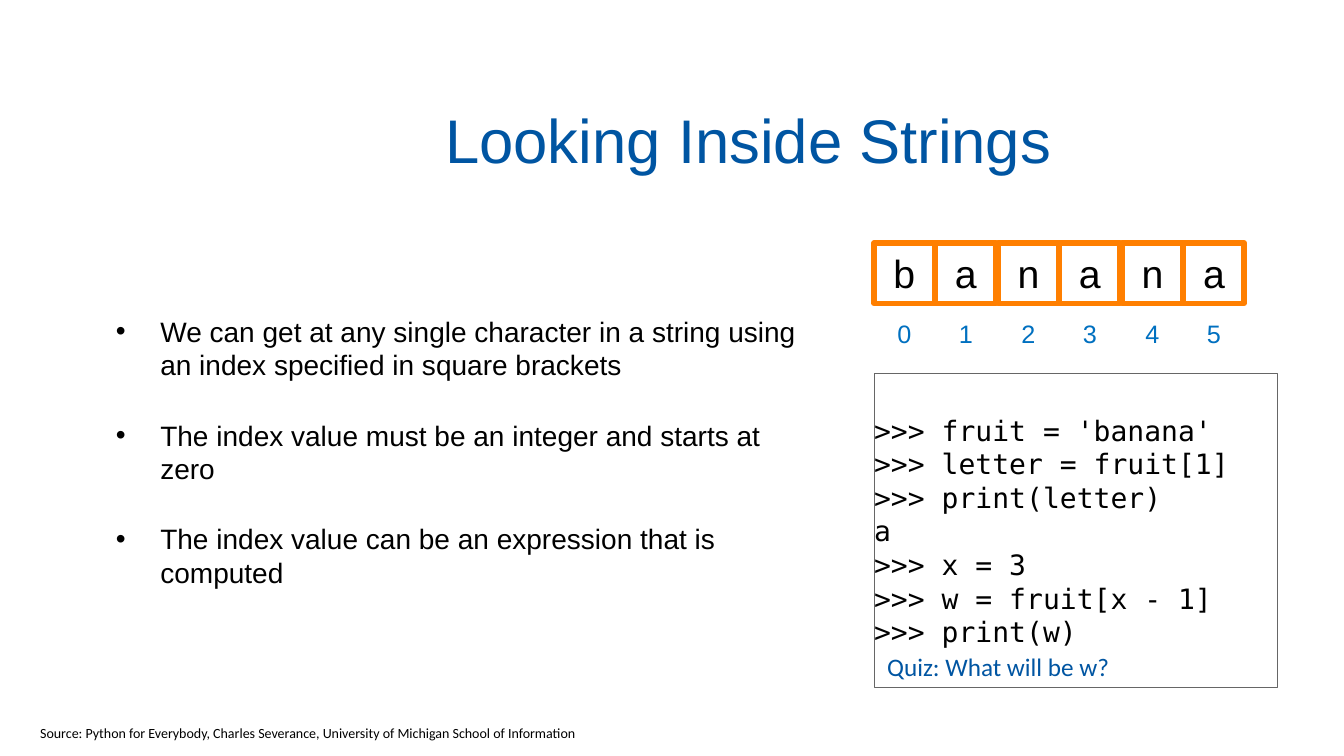
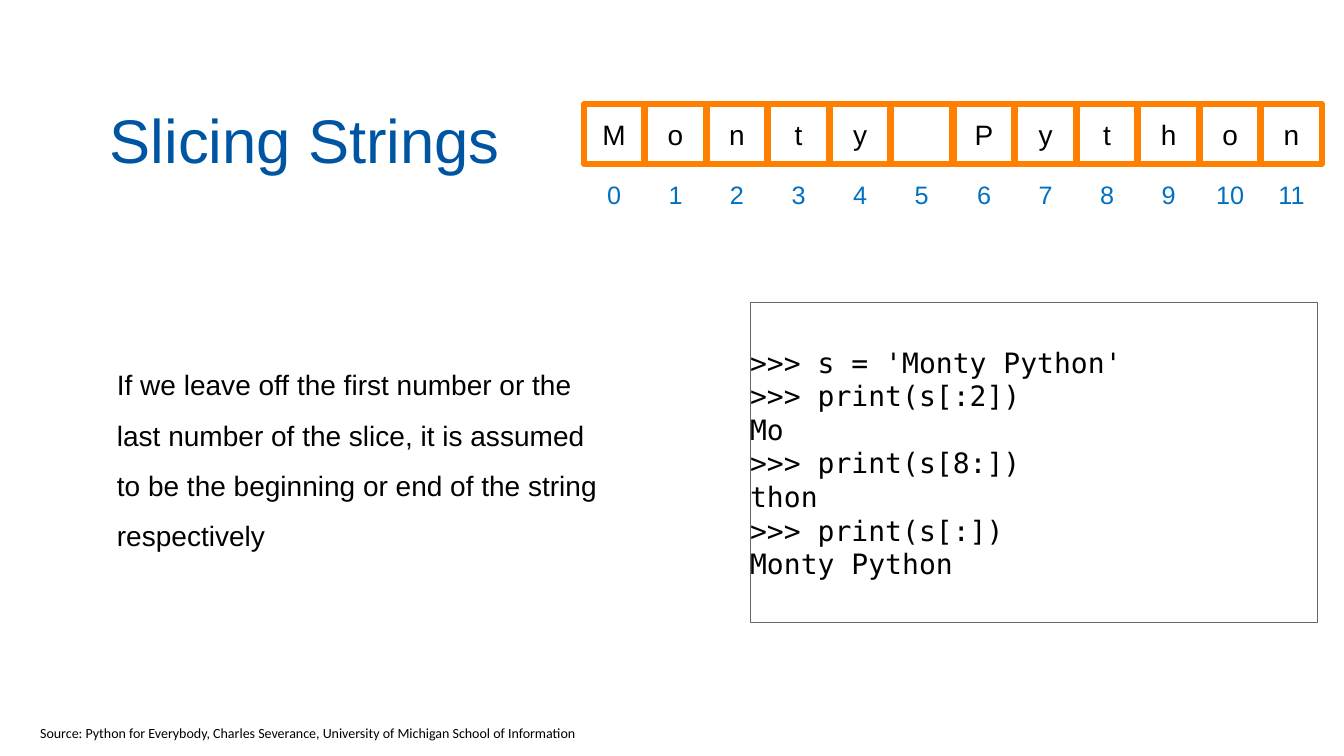
from dataclasses import dataclass

from lxml.etree import SubElement
from pptx import Presentation
from pptx.dml.color import RGBColor
from pptx.enum.shapes import MSO_SHAPE
from pptx.enum.text import MSO_ANCHOR, MSO_AUTO_SIZE, PP_ALIGN
from pptx.oxml.ns import qn
from pptx.util import Emu, Pt


@dataclass(frozen=True)
class Theme:
    heading: RGBColor = RGBColor(0x00, 0x55, 0xA2)
    index: RGBColor = RGBColor(0x00, 0x70, 0xC0)
    ink: RGBColor = RGBColor(0x00, 0x00, 0x00)
    cell_border: RGBColor = RGBColor(0xFF, 0x7F, 0x00)
    code_border: RGBColor = RGBColor(0x66, 0x66, 0x66)
    sans: str = "Arial"
    note_font: str = "Calibri"
    mono: str = "DejaVu Sans Mono"
    title_size: int = 44
    large_size: int = 28
    body_size: int = 20
    label_size: int = 18
    source_size: int = 10


THEME = Theme()
EMU_PER_PX = 9144
CELL = 60
INDEX_DROP = 60
BODY_TOP, BODY_HEIGHT = 214, 468
SOURCE = ("Source: Python for Everybody, Charles Severance, "
          "University of Michigan School of Information")


def px(length):
    return Emu(length * EMU_PER_PX)


def write(frame, lines, size, color=THEME.ink, font=THEME.sans,
          align=PP_ALIGN.LEFT, inset=0):
    frame.word_wrap = True
    frame.vertical_anchor = MSO_ANCHOR.MIDDLE
    frame.margin_left = frame.margin_right = px(inset)
    frame.margin_top = frame.margin_bottom = px(inset)
    for number, line in enumerate(lines):
        paragraph = frame.add_paragraph() if number else frame.paragraphs[0]
        paragraph.alignment = align
        run = paragraph.add_run()
        run.text = line
        run.font.size = Pt(size)
        run.font.name = font
        run.font.color.rgb = color
    return frame.paragraphs


def add_text(slide, box, lines, size, **style):
    frame = slide.shapes.add_textbox(*map(px, box)).text_frame
    return write(frame, lines, size, **style)


def add_outline(slide, box, color, width):
    outline = slide.shapes.add_shape(MSO_SHAPE.RECTANGLE, *map(px, box))
    outline.shadow.inherit = False
    outline.fill.background()
    outline.line.color.rgb = color
    outline.line.width = Pt(width)
    return outline.text_frame


def add_title(slide, left, width, title):
    add_text(slide, (left, 68, width, 140), [title], THEME.title_size,
             color=THEME.heading, align=PP_ALIGN.CENTER, inset=3)


def indent(paragraph, left, first=0):
    properties = paragraph._p.get_or_add_pPr()
    properties.set("marL", str(px(left)))
    properties.set("indent", str(px(first)))
    return properties


def add_bullets(slide, width, points):
    paragraphs = add_text(slide, (95, BODY_TOP, width, BODY_HEIGHT), points,
                          THEME.body_size, inset=3)
    for number, paragraph in enumerate(paragraphs):
        paragraph.space_before = Pt(26.2 if number else 0)
        properties = indent(paragraph, 61, -44)
        SubElement(properties, qn("a:buFont"), typeface=THEME.sans)
        SubElement(properties, qn("a:buChar"), char="•")


def add_statement(slide, width, statement):
    paragraph, = add_text(slide, (95, BODY_TOP, width, BODY_HEIGHT),
                          [statement], THEME.body_size, inset=3)
    paragraph.line_spacing = 1.5
    indent(paragraph, 18)


def add_code(slide, box, lines):
    frame = add_outline(slide, box, THEME.code_border, 0.75)
    write(frame, lines, THEME.body_size, font=THEME.mono)


def add_indexed_string(slide, first_left, last_left, top, string, size):
    pitch = (last_left - first_left) / (len(string) - 1)
    for index, letter in enumerate(string):
        left = first_left + round(index * pitch)
        add_text(slide, (left, top + INDEX_DROP, CELL, CELL), [str(index)],
                 THEME.label_size, color=THEME.index, align=PP_ALIGN.CENTER)
        cell = add_outline(slide, (left, top, CELL, CELL),
                           THEME.cell_border, 4)
        if letter.strip():
            write(cell, [letter], size, align=PP_ALIGN.CENTER)


def add_note(slide, box, note, size, color=THEME.ink):
    frame = slide.shapes.add_textbox(*map(px, box)).text_frame
    write(frame, [note], size, color=color, font=THEME.note_font)
    frame.word_wrap = False
    frame.auto_size = MSO_AUTO_SIZE.SHAPE_TO_FIT_TEXT
    frame.vertical_anchor = MSO_ANCHOR.TOP
    frame.margin_left = frame.margin_right = px(10)
    frame.margin_top = frame.margin_bottom = px(5)


def new_slide(deck):
    slide = deck.slides.add_slide(deck.slide_layouts[6])
    add_note(slide, (30, 714, 560, 27), SOURCE, THEME.source_size)
    return slide


def build_looking_inside(deck):
    slide = new_slide(deck)
    add_title(slide, 248, 989, "Looking Inside Strings")
    add_bullets(slide, 722, [
        "We can get at any single character in a string using "
        "an index specified in square brackets",
        "The index value must be an integer and starts at zero",
        "The index value can be an expression that is computed",
    ])
    add_code(slide, (867, 371, 400, 311), [
        ">>> fruit = 'banana'",
        ">>> letter = fruit[1]",
        ">>> print(letter)",
        "a",
        ">>> x = 3",
        ">>> w = fruit[x - 1]",
        ">>> print(w)",
    ])
    add_indexed_string(slide, 867, 1174, 241, "banana", THEME.large_size)
    add_note(slide, (870, 641, 248, 40), "Quiz: What will be w?",
             THEME.label_size, THEME.heading)


def build_slicing(deck):
    slide = new_slide(deck)
    add_title(slide, 95, 415, "Slicing Strings")
    add_statement(slide, 506,
                  "If we leave off the first number or the last number of "
                  "the slice, it is assumed to be the beginning or end of "
                  "the string respectively")
    add_code(slide, (744, 300, 563, 318), [
        ">>> s = 'Monty Python'",
        ">>> print(s[:2])",
        "Mo",
        ">>> print(s[8:])",
        "thon",
        ">>> print(s[:])",
        "Monty Python",
    ])
    add_indexed_string(slide, 579, 1251, 103, "Monty Python",
                       THEME.body_size)


def main():
    deck = Presentation()
    deck.slide_width, deck.slide_height = px(1333), px(750)
    build_looking_inside(deck)
    build_slicing(deck)
    deck.save("out.pptx")


if __name__ == "__main__":
    main()
